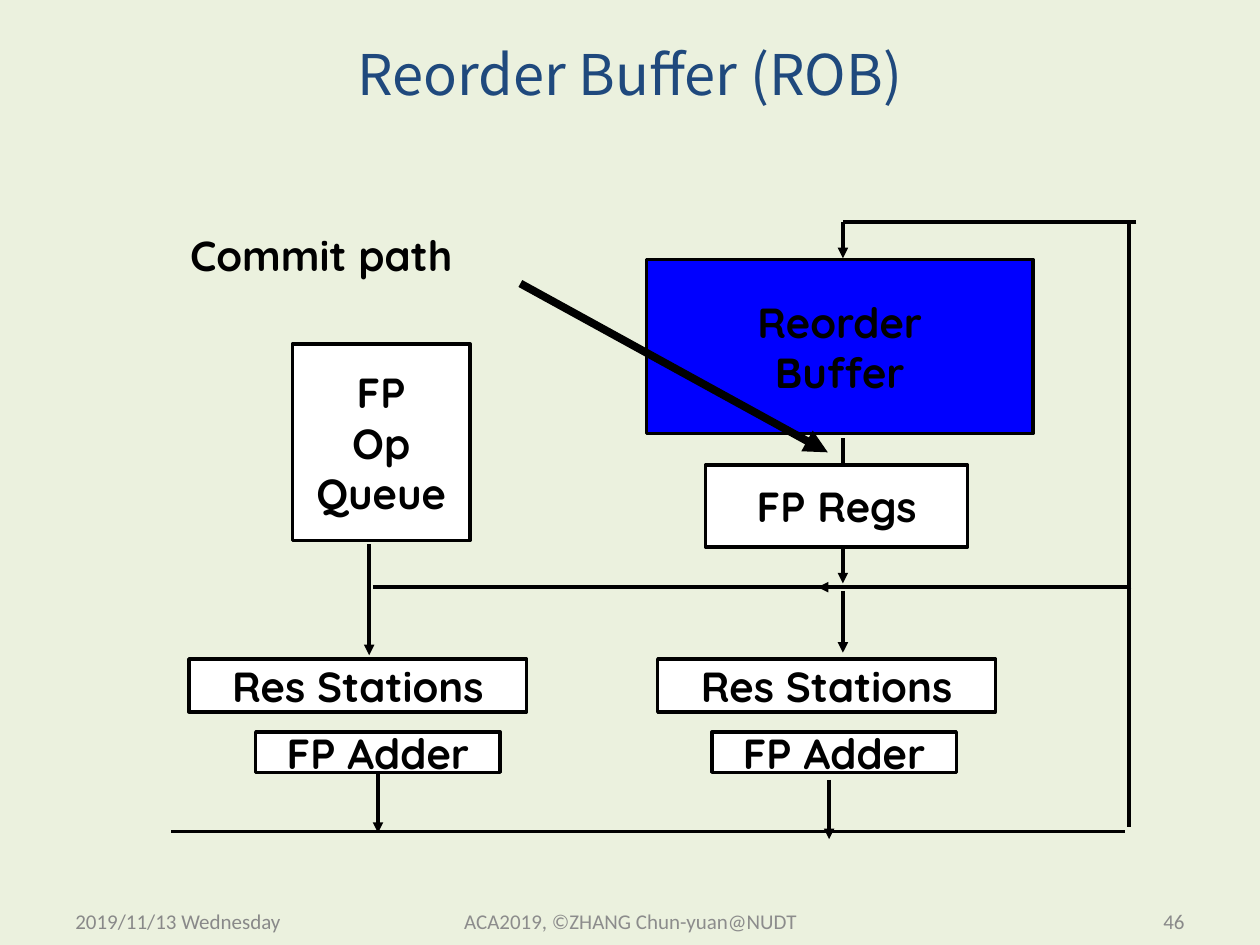
from dataclasses import dataclass

from lxml import etree
from pptx import Presentation
from pptx.dml.color import RGBColor
from pptx.enum.shapes import MSO_CONNECTOR, MSO_SHAPE
from pptx.enum.text import MSO_ANCHOR, PP_ALIGN
from pptx.oxml.ns import qn
from pptx.util import Inches, Pt

BLACK = RGBColor(0x00, 0x00, 0x00)
WHITE = RGBColor(0xFF, 0xFF, 0xFF)
BLUE = RGBColor(0x00, 0x00, 0xFF)
NAVY = RGBColor(0x1F, 0x49, 0x7D)
GRAY = RGBColor(0x89, 0x89, 0x89)
FOOTER_GRAY = RGBColor(0x8C, 0x8C, 0x8C)
PALE_GREEN = RGBColor(0xEB, 0xF1, 0xDE)
LEFT, CENTER, RIGHT = PP_ALIGN.LEFT, PP_ALIGN.CENTER, PP_ALIGN.RIGHT
MIDDLE = MSO_ANCHOR.MIDDLE
RECT = MSO_SHAPE.RECTANGLE
STRAIGHT = MSO_CONNECTOR.STRAIGHT


@dataclass
class Box:
    text: str
    x: float
    y: float
    w: float
    h: float
    fill: RGBColor = WHITE


@dataclass
class Wire:
    x1: float
    y1: float
    x2: float
    y2: float
    arrow: bool = True
    width: float = 2


@dataclass
class Label:
    text: str
    x: float
    y: float
    w: float
    h: float
    size: float
    font: str
    color: RGBColor
    align: PP_ALIGN = CENTER
    bold: bool = False
    wrap: bool = True


BUS_X, BUS_TOP, BUS_MID, BUS_BOTTOM = 8.96, 1.76, 4.66, 6.6
REGS_X, QUEUE_X = 6.69, 2.93

WIRES = [
    Wire(1.36, BUS_BOTTOM, 8.93, BUS_BOTTOM, arrow=False),
    Wire(BUS_X, 1.78, BUS_X, 6.56, arrow=False),
    Wire(9.02, BUS_TOP, REGS_X, BUS_TOP, arrow=False),
    Wire(REGS_X, BUS_TOP, REGS_X, 2.05),
    Wire(3, 6.14, 3, 6.61),
    Wire(6.58, 6.19, 6.58, 6.66),
    Wire(QUEUE_X, 4.32, QUEUE_X, 5.2),
    Wire(2.96, BUS_MID, 6.56, BUS_MID, arrow=False),
    Wire(REGS_X, 4.69, REGS_X, 5.18),
    Wire(REGS_X, 3.48, REGS_X, 4.63),
    Wire(8.98, BUS_MID, 6.49, BUS_MID),
]

BOXES = [
    Box("Reorder\nBuffer", 5.13, 2.06, 3.07, 1.38, BLUE),
    Box("FP\nOp\nQueue", 2.32, 2.73, 1.41, 1.56),
    Box("FP Regs", 5.6, 3.69, 2.08, 0.65),
    *[Box("Res Stations", x, 5.23, 2.68, 0.42) for x in (1.5, 5.22)],
    *[Box("FP Adder", x, 5.81, 1.94, 0.32) for x in (2.03, 5.65)],
]

COMMIT_ARROW = Wire(4.13, 2.25, 6.57, 3.59, width=4.5)

LABELS = [
    Label("Reorder Buffer (ROB)", 0.5, 0.19, 9, 0.78, 32, "Noto Sans CJK SC", NAVY),
    Label("Commit path", 1.39, 1.77, 2.32, 0.5, 24, "Quicksand", BLACK,
          bold=True, wrap=False),
    Label("2019/11/13 Wednesday", 0.5, 7.11, 2.33, 0.4, 12, "Calibri", GRAY, LEFT),
    Label("ACA2019, ©ZHANG Chun-yuan@NUDT", 3.42, 7.11, 3.17, 0.4, 12, "Calibri",
          FOOTER_GRAY),
    Label("46", 7.17, 7.11, 2.33, 0.4, 12, "Calibri", GRAY, RIGHT),
]


def write_text(tf, text: str, *, size: float, font: str, color: RGBColor,
               align: PP_ALIGN = CENTER, bold: bool = False, wrap: bool = False) -> None:
    tf.word_wrap = wrap
    tf.vertical_anchor = MIDDLE
    for i, line in enumerate(text.split("\n")):
        p = tf.add_paragraph() if i else tf.paragraphs[0]
        p.alignment = align
        r = p.add_run()
        r.text = line
        r.font.size = Pt(size)
        r.font.name = font
        r.font.bold = bold
        r.font.color.rgb = color


def draw_box(s, box: Box) -> None:
    sp = s.shapes.add_shape(RECT, Inches(box.x), Inches(box.y), Inches(box.w), Inches(box.h))
    sp.shadow.inherit = False
    sp.fill.solid()
    sp.fill.fore_color.rgb = box.fill
    sp.line.color.rgb = BLACK
    sp.line.width = Pt(2)
    write_text(sp.text_frame, box.text, size=24, font="Quicksand", color=BLACK, bold=True)


def draw_wire(s, wire: Wire) -> None:
    c = s.shapes.add_connector(STRAIGHT, Inches(wire.x1), Inches(wire.y1),
                               Inches(wire.x2), Inches(wire.y2))
    c.line.color.rgb = BLACK
    c.line.width = Pt(wire.width)
    if wire.arrow:
        etree.SubElement(c.line._get_or_add_ln(), qn("a:tailEnd"), type="triangle")
    etree.SubElement(c._element.spPr, qn("a:effectLst"))


def draw_label(s, label: Label) -> None:
    sp = s.shapes.add_textbox(Inches(label.x), Inches(label.y),
                              Inches(label.w), Inches(label.h))
    write_text(sp.text_frame, label.text, size=label.size, font=label.font,
               color=label.color, align=label.align, bold=label.bold, wrap=label.wrap)


def main() -> None:
    prs = Presentation()
    prs.slide_width, prs.slide_height = Inches(10), Inches(7.5)
    s = prs.slides.add_slide(prs.slide_layouts[6])
    s.background.fill.solid()
    s.background.fill.fore_color.rgb = PALE_GREEN
    for wire in WIRES:
        draw_wire(s, wire)
    for box in BOXES:
        draw_box(s, box)
    draw_wire(s, COMMIT_ARROW)
    for label in LABELS:
        draw_label(s, label)
    prs.save("out.pptx")


if __name__ == "__main__":
    main()
